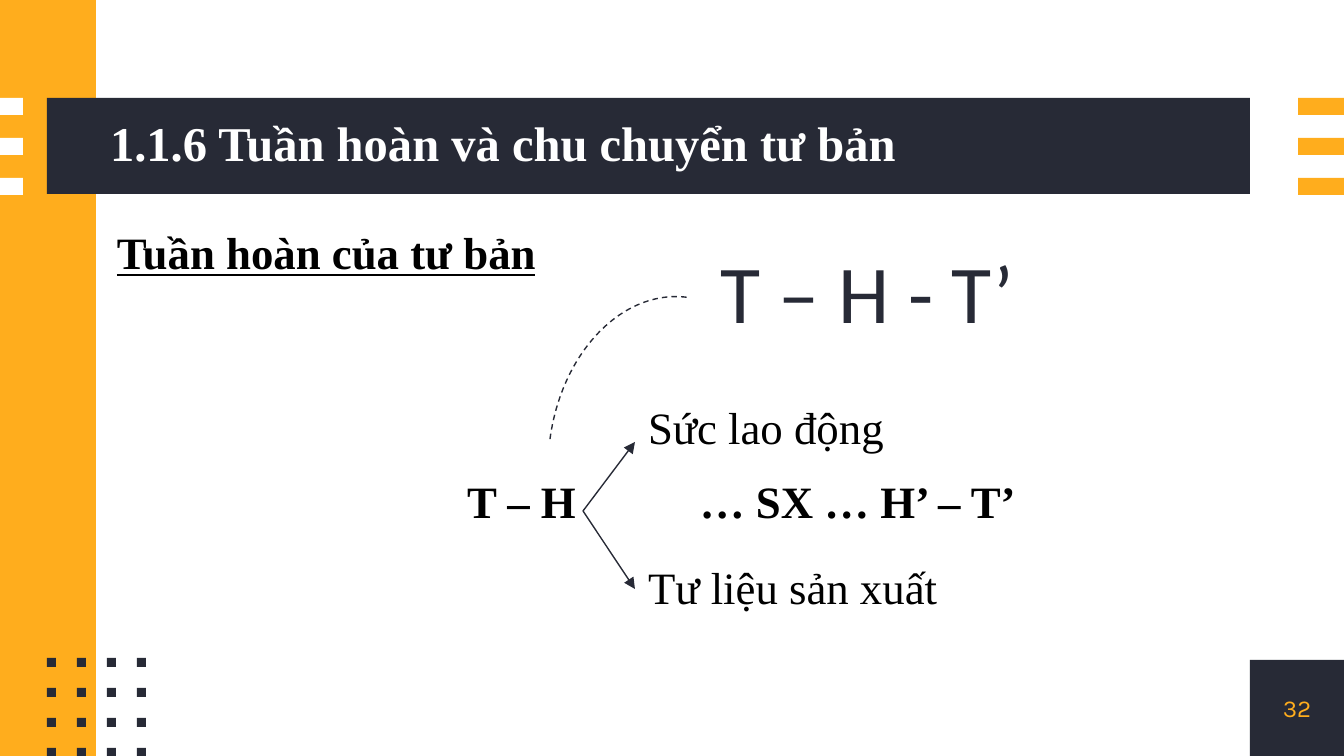
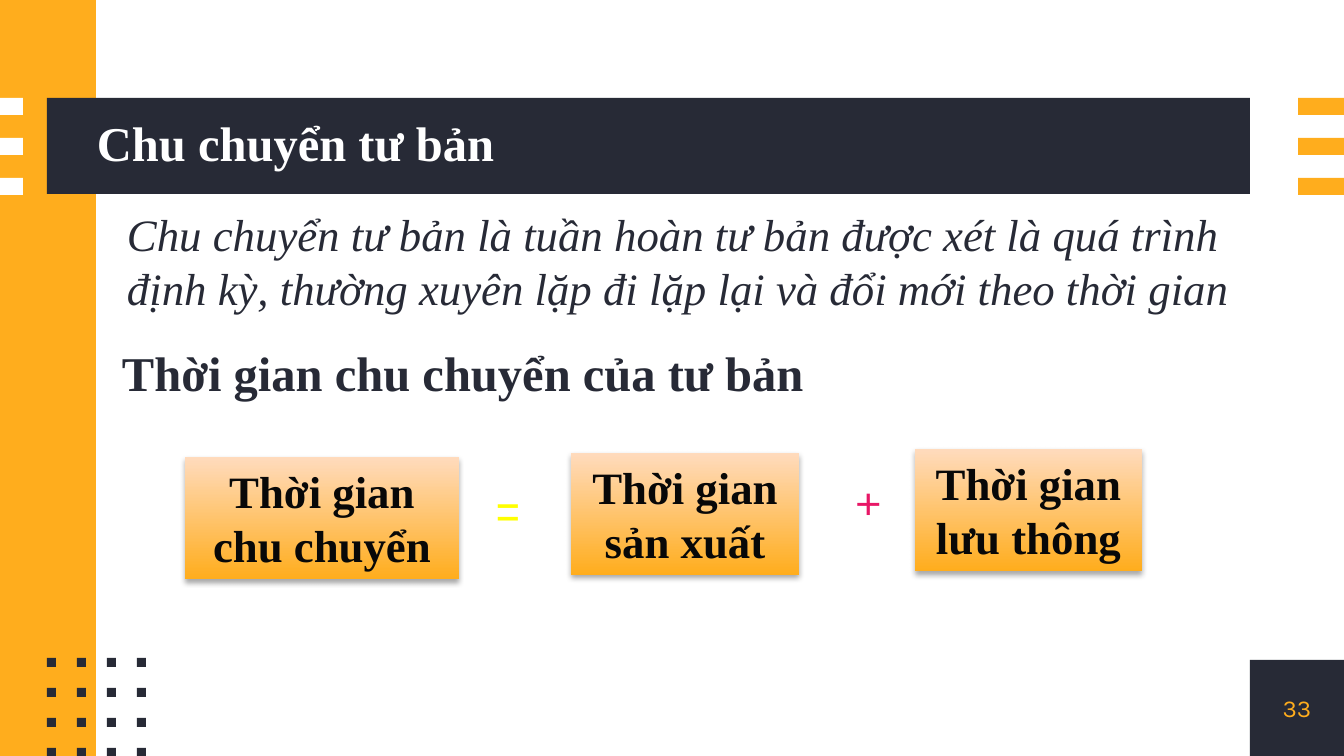
from itertools import product

from lxml import etree
from pptx import Presentation
from pptx import util as u
from pptx.dml.color import RGBColor
from pptx.enum import dml, shapes, text
from pptx.oxml import ns

PX = 914400 / 134.4
WIDTH, HEIGHT = 1344, 756
DARK, ORANGE, PEACH, WHITE, BLACK = "272A36", "FFAD1D", "FFDBBD", "FFFFFF", "000000"
SERIF = "Times New Roman"

# Content: text, place (left, top, width, height) and format
CYCLE = dict(
    title="1.1.6 Tuần hoàn và chu chuyển tư bản", title_left=110, number="32",
    texts=[
        ("Tuần hoàn của tư bản", (104, 212, 466, 86), dict(bold=True, underline=True)),
        ("T – H - T’", (613, 228, 509, 86),
         dict(size=44, font="Calibri", color=DARK, align="CENTER")),
        ("T – H\t… SX … H’ – T’", (454, 461, 669, 86), dict(bold=True, tab=233)),
        ("Sức lao động", (635, 387, 466, 86), {}),
        ("Tư liệu sản xuất", (635, 547, 466, 86), {}),
    ])
FORK, FORK_ENDS = (583, 511), [(635, 442), (635, 589)]
ARC, ARC_ROTATION = (508, 337, 317, 235), 277.5

TURNOVER = dict(
    title="Chu chuyển tư bản", title_left=97, number="33",
    texts=[
        ("Chu chuyển tư bản là tuần hoàn tư bản được xét là quá trình định kỳ, "
         "thường xuyên lặp đi lặp lại và đổi mới theo thời gian",
         (114, 194, 1171, 165), dict(italic=True, color=DARK)),
        ("Thời gian chu chuyển của tư bản", (109, 336, 872, 73),
         dict(size=26, bold=True, color=DARK, inset=(13, 7))),
        ("+", (832, 465, 73, 78),
         dict(size=27, font="Montserrat", color="E81766", align="CENTER", inset=(0, 7))),
        ("=", (484, 472, 48, 63),
         dict(size=27, font="Arial Narrow", color="FFFF00", align="CENTER", inset=(0, 7))),
    ])
TIME_BOXES = [
    ("Thời gian chu chuyển", (185, 457, 274, 122)),
    ("Thời gian sản xuất", (571, 453, 228, 122)),
    ("Thời gian lưu thông", (915, 449, 227, 122)),
]


def px(*lengths):
    return [u.Emu(round(length * PX)) for length in lengths]


def rgb(color):
    return RGBColor.from_string(color)


def add_xml(parent, tag, **attributes):
    return etree.SubElement(parent, ns.qn(tag), {k: str(v) for k, v in attributes.items()})


def write(shape, words, size=24, font=SERIF, color=BLACK, bold=False, italic=False,
          underline=False, align="LEFT", anchor="TOP", inset=(13, 13), spacing=1.0, tab=None):
    frame = shape.text_frame
    frame.word_wrap = True
    frame.vertical_anchor = getattr(text.MSO_ANCHOR, anchor)
    frame.margin_left = frame.margin_right = px(inset[0])[0]
    frame.margin_top = frame.margin_bottom = px(inset[1])[0]
    para = frame.paragraphs[0]
    para.alignment = getattr(text.PP_ALIGN, align)
    para.line_spacing = spacing
    if tab:
        stops = add_xml(para._p.get_or_add_pPr(), "a:tabLst")
        add_xml(stops, "a:tab", pos=px(tab)[0], algn="l")
    span = para.add_run()
    span.text = words
    style = span.font
    style.name, style.size = font, u.Pt(size)
    style.bold, style.italic, style.underline = bold, italic, underline
    style.color.rgb = rgb(color)


def add_text(page, words, place, **style):
    write(page.shapes.add_textbox(*px(*place)), words, **style)


def add_block(page, place, color):
    block = page.shapes.add_shape(shapes.MSO_SHAPE.RECTANGLE, *px(*place))
    block.shadow.inherit = False
    block.fill.solid()
    block.fill.fore_color.rgb = rgb(color)
    block.line.fill.background()
    return block


def add_page(deck, content):
    """Add a page with the shared frame, its title, number and texts."""
    page = deck.slides.add_slide(deck.slide_layouts[6])
    corner = (1250, 660, 94, 96)
    add_block(page, corner, DARK)
    add_block(page, (0, 0, 96, HEIGHT), ORANGE)
    add_block(page, (47, 98, 1203, 96), DARK)
    for row in range(3):
        top = 98 + 40 * row
        add_block(page, (0, top, 23, 17), WHITE)
        add_block(page, (1298, top, 46, 17), ORANGE)
    for column, row in product(range(4), repeat=2):
        add_block(page, (47 + 30 * column, 658 + 30 * row, 9, 9), DARK)
    left = content["title_left"]
    add_text(page, content["title"], (left, 98, 1250 - left, 96), size=26, color=WHITE,
             bold=True, anchor="MIDDLE", inset=(0, 0), spacing=0.9)
    add_text(page, content["number"], corner, size=13, font="Karla", color=ORANGE,
             align="CENTER", anchor="MIDDLE", inset=(0, 0))
    for words, place, style in content["texts"]:
        add_text(page, words, place, **style)
    return page


def add_arrow(page, start, end):
    arrow = page.shapes.add_connector(shapes.MSO_CONNECTOR.STRAIGHT, *px(*start, *end))
    arrow.line.color.rgb = rgb(DARK)
    arrow.line.width = u.Pt(0.75)
    add_xml(arrow.line._get_or_add_ln(), "a:tailEnd", type="triangle")
    add_xml(arrow._element.spPr, "a:effectLst")


def add_arc(page):
    arc = page.shapes.add_shape(shapes.MSO_SHAPE.ARC, *px(*ARC))
    arc.rotation = ARC_ROTATION
    arc.shadow.inherit = False
    arc.fill.background()
    arc.line.color.rgb = rgb(DARK)
    arc.line.width = u.Pt(0.75)
    arc.line.dash_style = dml.MSO_LINE.DASH


def add_time_box(page, words, place):
    box = add_block(page, place, ORANGE)
    box.fill.gradient()
    box.fill.gradient_angle = 90
    for stop, color in zip(box.fill.gradient_stops, (ORANGE, PEACH)):
        stop.color.rgb = rgb(color)
    effects = box._element.spPr.find(ns.qn("a:effectLst"))
    shadow = add_xml(effects, "a:outerShdw", blurRad=u.Pt(3.1), dist=u.Pt(1.8),
                     dir=90 * 60000, rotWithShape=0)
    add_xml(add_xml(shadow, "a:srgbClr", val=BLACK), "a:alpha", val=35000)
    write(box, words, bold=True, color="080808", align="CENTER", inset=(13, 7))


def main():
    deck = Presentation()
    deck.slide_width, deck.slide_height = px(WIDTH, HEIGHT)

    page = add_page(deck, CYCLE)
    for end in FORK_ENDS:
        add_arrow(page, FORK, end)
    add_arc(page)

    page = add_page(deck, TURNOVER)
    for words, place in TIME_BOXES:
        add_time_box(page, words, place)

    deck.save("out.pptx")


if __name__ == "__main__":
    main()
